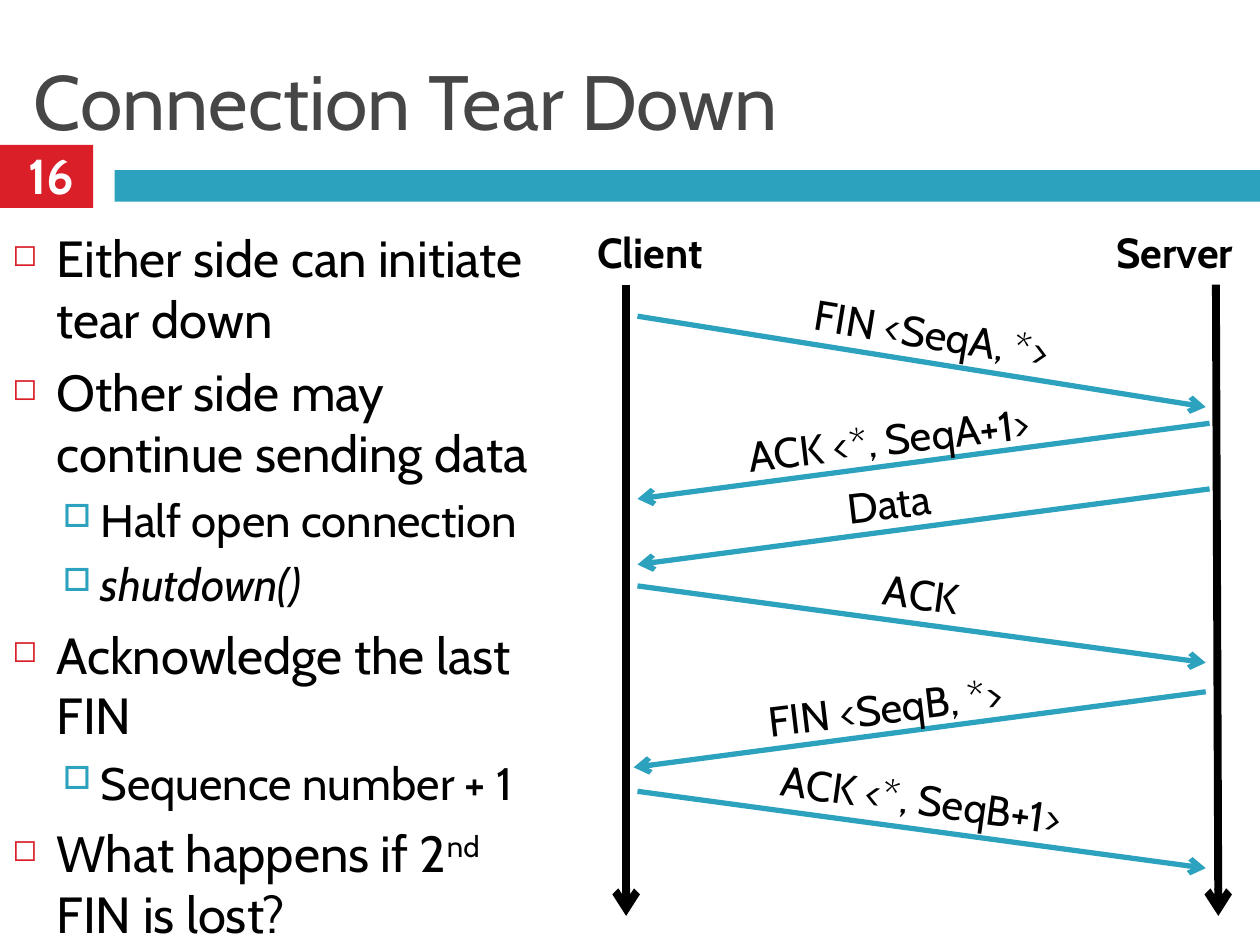
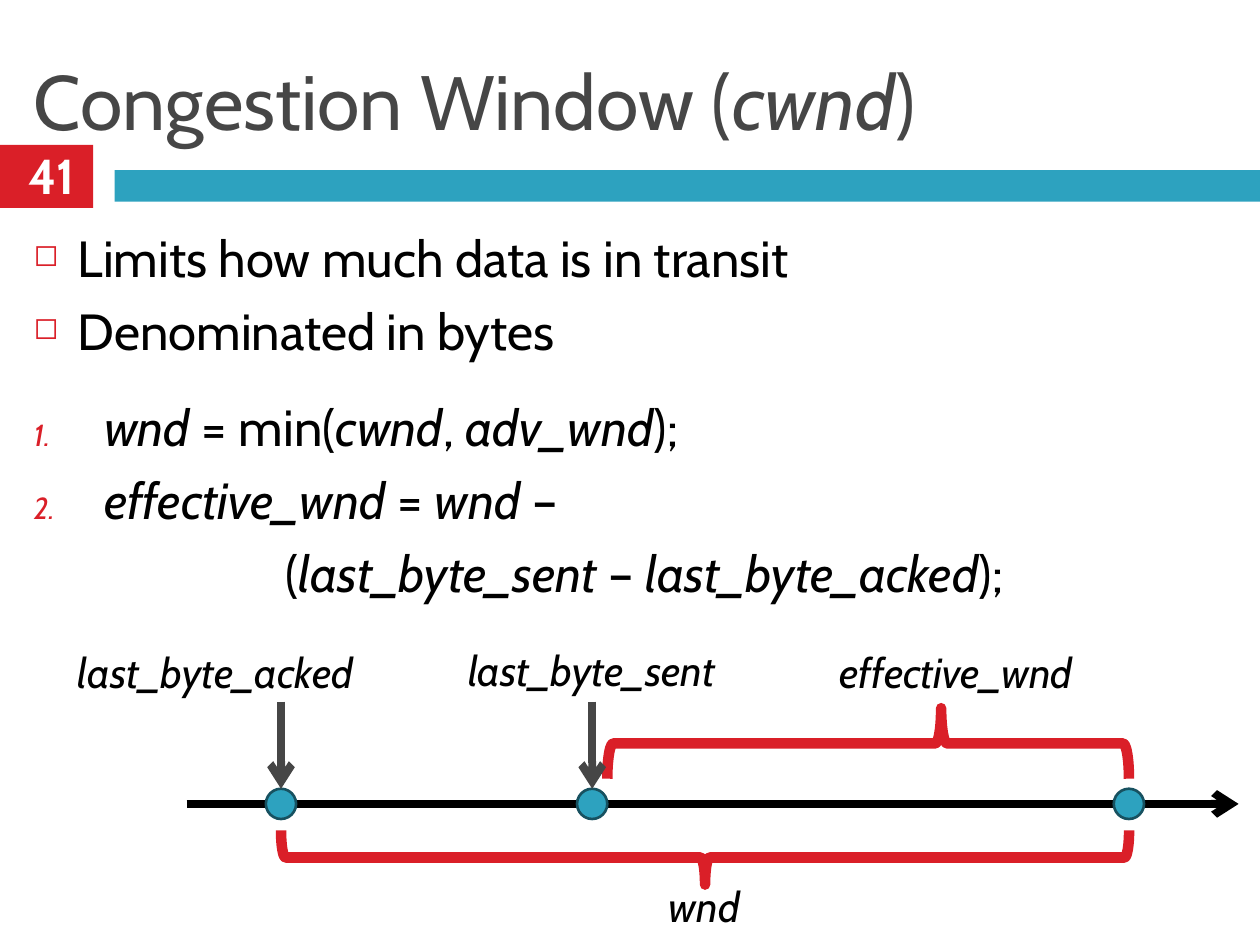
from dataclasses import dataclass
from typing import Optional

from lxml.etree import SubElement
from pptx import Presentation
from pptx.dml.color import RGBColor
from pptx.enum.shapes import MSO_CONNECTOR, MSO_SHAPE
from pptx.enum.text import MSO_ANCHOR, MSO_AUTO_SIZE, PP_ALIGN
from pptx.oxml.ns import qn
from pptx.util import Pt

COLORS = {
    "title": "464646",
    "text": "000000",
    "accent": "DA1F28",
    "band": "2DA2BF",
    "dot_edge": "175160",
    "white": "FFFFFF",
}
FONT = "Cabin"
SLIDE_WIDTH, SLIDE_HEIGHT = 720, 540
BODY_TOP = 126
LABEL_HEIGHT = 36


@dataclass(frozen=True)
class BulletStyle:
    size: float
    margin: float
    hanging: float
    space_before: float
    color: str = "accent"
    scale: int = 60
    char: Optional[str] = None
    numbered: bool = False
    level: int = 0


TOPIC = BulletStyle(29, 25.2, 25.2, 7, char="◻")
DETAIL = BulletStyle(26, 50.4, 21.6, 5.5, "band", 70, char="□", level=1)
STEP = BulletStyle(29, 40.3, 40.3, 7, numbered=True)
FIRST_STEP = BulletStyle(29, 40.3, 40.3, 20, numbered=True)
CONTINUATION = BulletStyle(29, 144, 0, 7)


@dataclass(frozen=True)
class Point:
    """Body paragraph; text between bars is emphasised."""
    text: str
    style: BulletStyle = TOPIC
    superscript: bool = False


@dataclass(frozen=True)
class Label:
    text: str
    left: float
    top: float
    width: float
    bold: bool = False
    italic: bool = False
    tilt: float = 0


@dataclass(frozen=True)
class Message:
    label: Label
    to_server: bool
    top: float
    drop: float
    shift: float = 0


@dataclass(frozen=True)
class Brace:
    left: float
    top: float
    width: float
    height: float
    rotation: float
    tip: float


def color(name: str) -> RGBColor:
    return RGBColor.from_string(COLORS[name])


def style_font(font, size: float, color_name: str = "text",
               bold: bool = False, italic: bool = False) -> None:
    font.name = FONT
    font.size = Pt(size)
    font.bold = bold
    font.italic = italic
    font.color.rgb = color(color_name)


def write_marked(paragraph, text: str, size: float, color_name: str = "text",
                 superscript: bool = False) -> None:
    """Write text whose parts between bars are italic or superscript."""
    for index, part in enumerate(text.split("|")):
        if not part:
            continue
        marked = index % 2 == 1
        run = paragraph.add_run()
        run.text = part
        style_font(run.font, size, color_name, italic=marked and not superscript)
        if marked and superscript:
            run.font._element.set("baseline", "30000")


def add_block(shapes, kind, left: float, top: float, width: float, height: float,
              fill: Optional[str] = None, edge: Optional[str] = None,
              edge_width: float = 0):
    block = shapes.add_shape(kind, Pt(left), Pt(top), Pt(width), Pt(height))
    block.shadow.inherit = False
    if fill:
        block.fill.solid()
        block.fill.fore_color.rgb = color(fill)
    else:
        block.fill.background()
    if edge:
        block.line.color.rgb = color(edge)
        block.line.width = Pt(edge_width)
    else:
        block.line.fill.background()
    return block


def add_arrow(shapes, x1: float, y1: float, x2: float, y2: float,
              color_name: str = "text", width: float = 4.5):
    arrow = shapes.add_connector(MSO_CONNECTOR.STRAIGHT, Pt(x1), Pt(y1), Pt(x2), Pt(y2))
    arrow.line.color.rgb = color(color_name)
    arrow.line.width = Pt(width)
    SubElement(arrow.line._get_or_add_ln(), qn("a:tailEnd"), type="arrow")
    SubElement(arrow._element.spPr, qn("a:effectLst"))
    return arrow


def add_label(shapes, label: Label) -> None:
    box = shapes.add_textbox(Pt(label.left), Pt(label.top), Pt(label.width), Pt(LABEL_HEIGHT))
    box.rotation = label.tilt
    frame = box.text_frame
    frame.word_wrap = False
    frame.auto_size = MSO_AUTO_SIZE.SHAPE_TO_FIT_TEXT
    frame.text = label.text
    paragraph = frame.paragraphs[0]
    paragraph.alignment = PP_ALIGN.CENTER
    style_font(paragraph.runs[0].font, 24, bold=label.bold, italic=label.italic)


def apply_bullet(paragraph, style: BulletStyle) -> None:
    paragraph.level = style.level
    paragraph.space_before = Pt(style.space_before)
    props = paragraph._p.get_or_add_pPr()
    props.set("marL", str(Pt(style.margin)))
    props.set("indent", str(-Pt(style.hanging)))
    if not (style.char or style.numbered):
        SubElement(props, qn("a:buNone"))
        return
    bullet_color = SubElement(props, qn("a:buClr"))
    SubElement(bullet_color, qn("a:srgbClr"), val=COLORS[style.color])
    SubElement(props, qn("a:buSzPct"), val=str(style.scale * 1000))
    if style.numbered:
        SubElement(props, qn("a:buAutoNum"), type="arabicPeriod")
    else:
        SubElement(props, qn("a:buChar"), char=style.char)


def add_body(slide, points: list[Point], left: float, width: float, height: float) -> None:
    body = slide.shapes.add_textbox(Pt(left), Pt(BODY_TOP), Pt(width), Pt(height))
    frame = body.text_frame
    frame.word_wrap = True
    for index, point in enumerate(points):
        paragraph = frame.add_paragraph() if index else frame.paragraphs[0]
        write_marked(paragraph, point.text, point.style.size, superscript=point.superscript)
        apply_bullet(paragraph, point.style)


def add_framed_slide(deck, title_text: str, number: int):
    """Title-only slide with the band and the numbered red tab."""
    slide = deck.slides.add_slide(deck.slide_layouts[5])
    add_block(slide.shapes, MSO_SHAPE.RECTANGLE, 0, 82.8, 53.3, 36, "accent")
    add_block(slide.shapes, MSO_SHAPE.RECTANGLE, 65.5, 97.2, SLIDE_WIDTH - 65.5, 18, "band")

    title = slide.shapes.title
    title.left, title.top, title.width, title.height = Pt(12.2), Pt(18), Pt(696.2), Pt(77.8)
    title.text_frame.auto_size = MSO_AUTO_SIZE.NONE
    title.text_frame.vertical_anchor = MSO_ANCHOR.MIDDLE
    heading = title.text_frame.paragraphs[0]
    heading.alignment = PP_ALIGN.LEFT
    write_marked(heading, title_text, 44, "title")

    page = slide.shapes.add_textbox(0, Pt(77), Pt(59), Pt(46)).text_frame
    page.word_wrap = True
    page.vertical_anchor = MSO_ANCHOR.MIDDLE
    page.text = str(number)
    page.paragraphs[0].alignment = PP_ALIGN.CENTER
    style_font(page.paragraphs[0].runs[0].font, 28, "white", bold=True)
    return slide


# Connection tear down
TEAR_DOWN_POINTS = [
    Point("Either side can initiate tear down"),
    Point("Other side may continue sending data"),
    Point("Half open connection", DETAIL),
    Point("|shutdown()|", DETAIL),
    Point("Acknowledge the last FIN"),
    Point("Sequence number + 1", DETAIL),
    Point("What happens if 2|nd| FIN is lost?", superscript=True),
]
MESSAGES = [
    Message(Label("FIN <SeqA, *>", 447.1, 172.1, 170.6, tilt=9.4), True, 180.7, 51.9),
    Message(Label("ACK <*, SeqA+1>", 403.2, 232.6, 209.5, tilt=-6.9), False, 241.9, 43.2),
    Message(Label("ACK", 494.6, 321.1, 64.1, tilt=8), True, 334.8, 43.9),
    Message(Label("Data", 475.2, 269.3, 65.5, tilt=-6.9), False, 279.4, 43.2),
    Message(Label("FIN <SeqB, *>", 420.5, 385.9, 170.6, tilt=-6.9), False, 395.3, 43.2, -2.2),
    Message(Label("ACK <*, SeqB+1>", 421.9, 438.5, 209.5, tilt=8), True, 452.2, 43.9),
]
CLIENT_EDGE, SERVER_ARRIVAL, SERVER_DEPARTURE = 364.3, 689, 691.2


def build_tear_down(deck) -> None:
    slide = add_framed_slide(deck, "Connection Tear Down", 16)
    add_body(slide, TEAR_DOWN_POINTS, 0, 330.5, 401.8)

    # Lifelines and their headings
    for top_x, bottom_x in ((357.8, 357.8), (694.8, 696.2)):
        add_arrow(slide.shapes, top_x, 162.7, bottom_x, 523.4)
    add_label(slide.shapes, Label("Client", 330.5, BODY_TOP, 82.1, bold=True))
    add_label(slide.shapes, Label("Server", 626.4, BODY_TOP, 90, bold=True))

    # Exchanged messages
    for message in MESSAGES:
        if message.to_server:
            start, end = CLIENT_EDGE, SERVER_ARRIVAL
        else:
            start, end = SERVER_DEPARTURE, CLIENT_EDGE
        exchange = slide.shapes.add_group_shape().shapes
        add_arrow(exchange, start + message.shift, message.top,
                  end + message.shift, message.top + message.drop, "band", 3)
        add_label(exchange, message.label)


# Congestion window
WINDOW_POINTS = [
    Point("Limits how much data is in transit"),
    Point("Denominated in bytes"),
    Point("|wnd| = min(|cwnd|, |adv_wnd|);", FIRST_STEP),
    Point("|effective_wnd| = |wnd| –", STEP),
    Point("(|last_byte_sent| – |last_byte_acked|);", CONTINUATION),
]
WINDOW_LABELS = [
    Label("last_byte_acked", 28.1, 365.8, 190.1, italic=True),
    Label("last_byte_sent", 252.7, 365, 170.6, italic=True),
    Label("wnd", 373, 499.7, 59, italic=True),
    Label("effective_wnd", 465.1, 365.8, 162.7, italic=True),
]
BRACES = [
    Brace(387.4, 247.7, 31, 484.6, 270, 0.5),
    Brace(475.9, 275.8, 40.3, 298.1, 90, 0.36),
]
AXIS_Y, DOT_SIZE = 459.4, 17.3
ACKED_X, SENT_X, WINDOW_END_X = 160.6, 338.4, 645.1


def build_congestion_window(deck) -> None:
    slide = add_framed_slide(deck, "Congestion Window (|cwnd|)", 41)
    add_body(slide, WINDOW_POINTS, 12.2, 696.2, 264.2)

    # Byte axis with its marks; pointers name the first two
    add_arrow(slide.shapes, 106.6, AXIS_Y, 707.8, AXIS_Y)
    dots = [
        add_block(slide.shapes, MSO_SHAPE.OVAL, x - DOT_SIZE / 2, AXIS_Y - DOT_SIZE / 2,
                  DOT_SIZE, DOT_SIZE, "band", "dot_edge", 1.5)
        for x in (ACKED_X, SENT_X, WINDOW_END_X)
    ]
    for brace in BRACES:
        span = add_block(slide.shapes, MSO_SHAPE.LEFT_BRACE, brace.left, brace.top,
                         brace.width, brace.height, edge="accent", edge_width=6)
        span.rotation = brace.rotation
        span.adjustments[1] = brace.tip
    for x, dot in zip((ACKED_X, SENT_X), dots):
        pointer = add_arrow(slide.shapes, x, 401, x, AXIS_Y - DOT_SIZE / 2, "title")
        pointer.end_connect(dot, 0)
    for label in WINDOW_LABELS:
        add_label(slide.shapes, label)


def main() -> None:
    deck = Presentation()
    deck.slide_width, deck.slide_height = Pt(SLIDE_WIDTH), Pt(SLIDE_HEIGHT)
    build_tear_down(deck)
    build_congestion_window(deck)
    deck.save("out.pptx")


if __name__ == "__main__":
    main()
